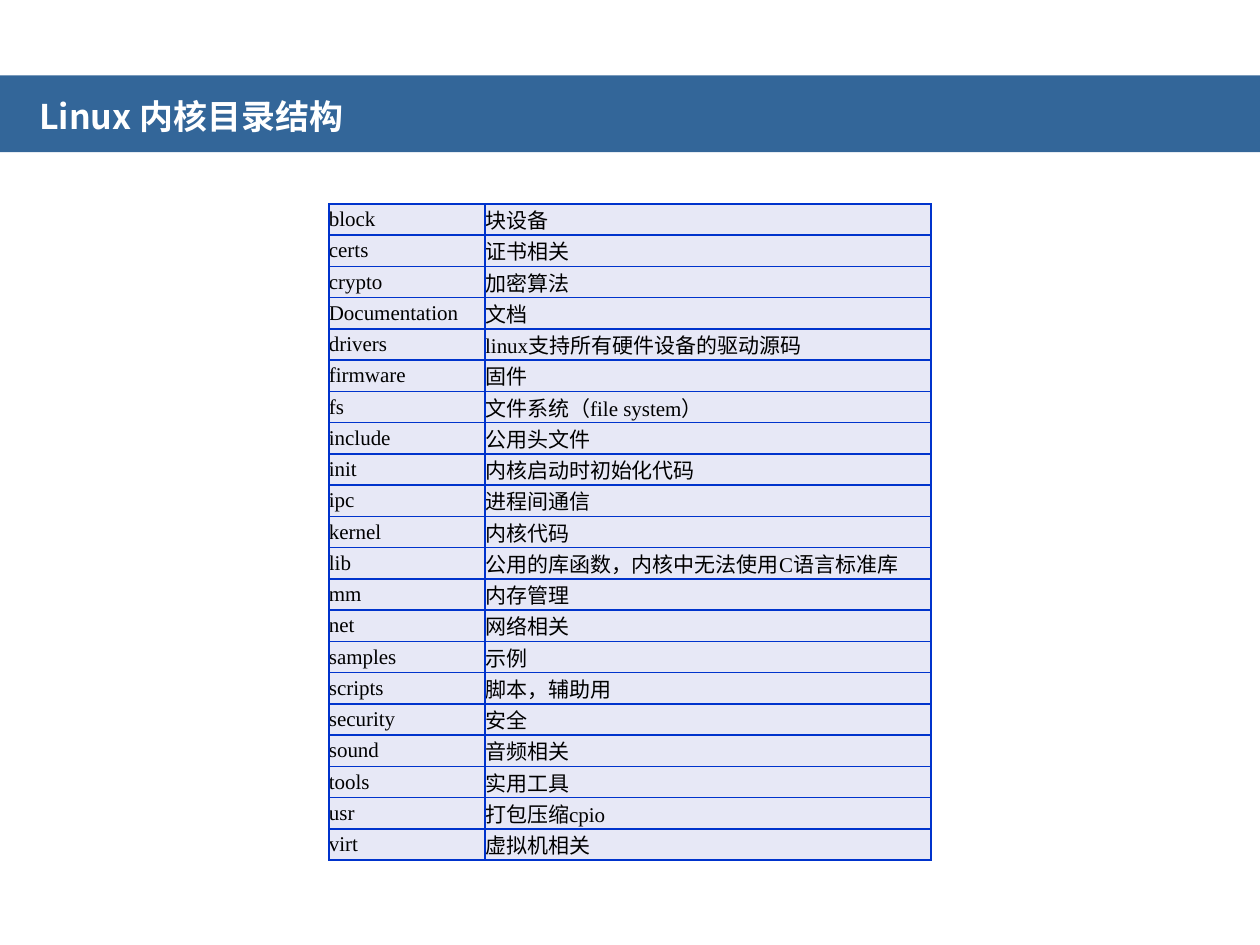
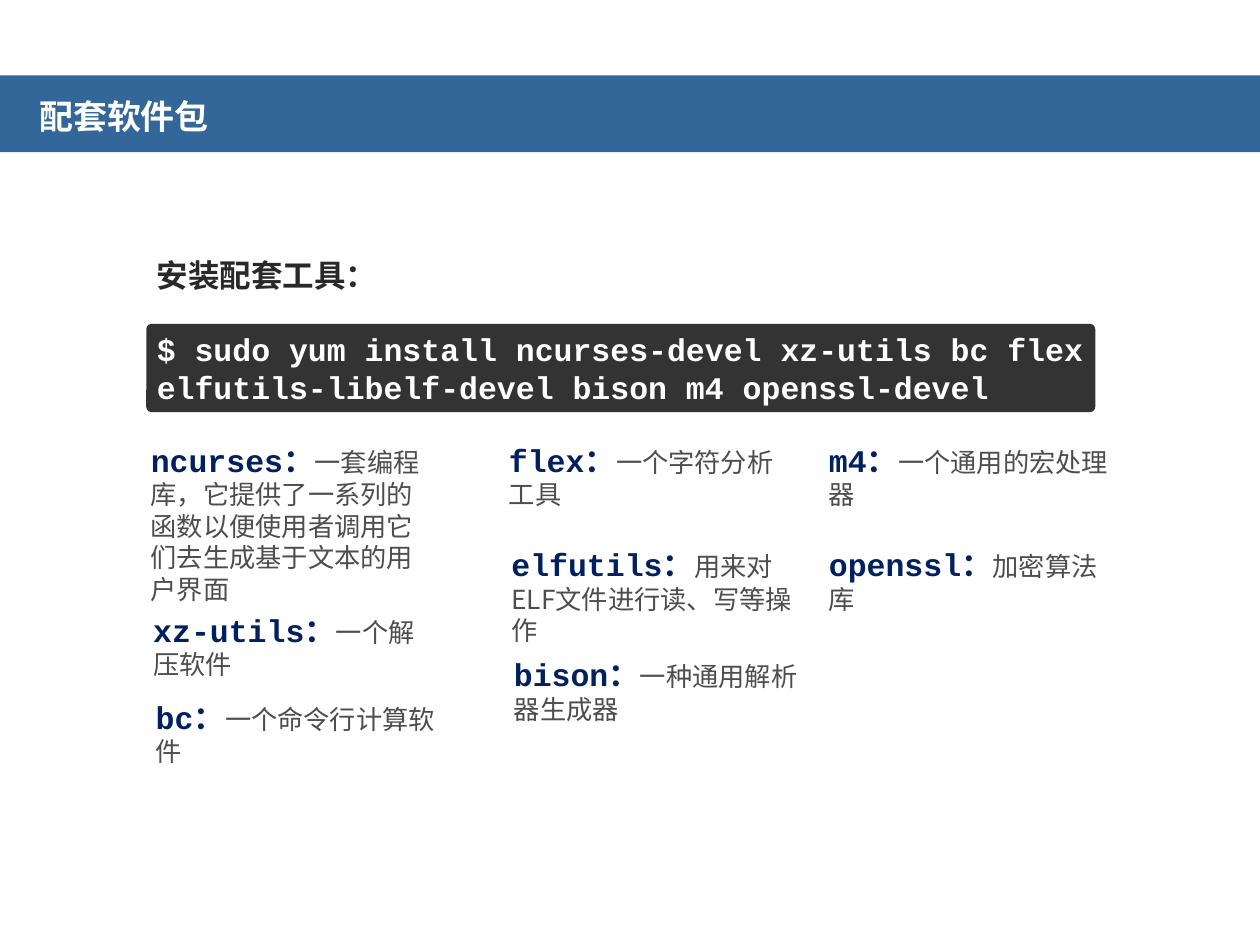
from dataclasses import dataclass

from lxml.etree import SubElement
from pptx import Presentation
from pptx.dml.color import RGBColor
from pptx.enum.shapes import MSO_SHAPE
from pptx.enum.text import MSO_ANCHOR, PP_ALIGN
from pptx.oxml.ns import qn
from pptx.util import Cm, Pt

COLOURS = {
    "band": "336699",
    "white": "FFFFFF",
    "border": "0033CC",
    "cell": "E7E8F6",
    "black": "000000",
    "code": "333333",
    "heading": "292929",
    "term": "002060",
    "body": "4D4D4D",
}
SANS = "Noto Sans CJK SC"
MONO = "Courier New"
SERIF = "Times New Roman"
PAGE_WIDTH = 25.4
PAGE_HEIGHT = 19.05


@dataclass(frozen=True)
class Style:
    font: str
    size: float
    colour: str
    bold: bool = False


@dataclass(frozen=True)
class Note:
    term: str
    meaning: str
    top: float
    height: float


@dataclass(frozen=True)
class NoteColumn:
    left: float
    step: float
    notes: tuple[Note, ...]


TITLE = Style(SANS, 19.4, "white", True)
CELL = Style(SERIF, 12, "black")
CODE = Style(MONO, 18, "white", True)
HEADING = Style(SANS, 18, "heading", True)
TERM = Style(MONO, 18, "term", True)
MEANING = Style(SANS, 15, "body")

DIRECTORIES = (
    ("block", "块设备"),
    ("certs", "证书相关"),
    ("crypto", "加密算法"),
    ("Documentation", "文档"),
    ("drivers", "linux支持所有硬件设备的驱动源码"),
    ("firmware", "固件"),
    ("fs", "文件系统（file system）"),
    ("include", "公用头文件"),
    ("init", "内核启动时初始化代码"),
    ("ipc", "进程间通信"),
    ("kernel", "内核代码"),
    ("lib", "公用的库函数，内核中无法使用C语言标准库"),
    ("mm", "内存管理"),
    ("net", "网络相关"),
    ("samples", "示例"),
    ("scripts", "脚本，辅助用"),
    ("security", "安全"),
    ("sound", "音频相关"),
    ("tools", "实用工具"),
    ("usr", "打包压缩cpio"),
    ("virt", "虚拟机相关"),
)
DIRECTORY_WIDTHS = (3.15, 8.99)
ROW_HEIGHT = 0.63

INSTALL_COMMAND = (
    "$ sudo yum install ncurses-devel xz-utils bc flex "
    "elfutils-libelf-devel bison m4 openssl-devel"
)
NOTE_WIDTH = 6.25
NOTE_COLUMNS = (
    NoteColumn(2.79, 0.05, (
        Note("ncurses：", "一套编程库，它提供了一系列的函数以便使用者调用它们去生成基于文本的用户界面", 8.76, 4.37),
        Note("xz-utils：", "一个解压软件", 12.19, 2.44),
        Note("bc：", "一个命令行计算软件", 13.94, 2.44),
    )),
    NoteColumn(10.01, 0.05, (
        Note("flex：", "一个字符分析工具", 8.76, 2.44),
        Note("elfutils：", "用来对ELF文件进行读、写等操作", 10.87, 3.07),
        Note("bison：", "一种通用解析器生成器", 13.08, 2.44),
    )),
    NoteColumn(16.46, 0, (
        Note("m4：", "一个通用的宏处理器", 8.76, 1.68),
        Note("openssl：", "加密算法库", 10.87, 1.02),
    )),
)


def colour(name: str) -> RGBColor:
    return RGBColor.from_string(COLOURS[name])


def format_span(span, style: Style) -> None:
    span.font.size = Pt(style.size)
    span.font.bold = style.bold
    span.font.color.rgb = colour(style.colour)
    span.font.name = style.font
    east_asian = SubElement(span.font._element, qn("a:ea"))
    east_asian.set("typeface", SANS)


def set_margins(target, left: float, top: float, right: float, bottom: float) -> None:
    target.margin_left, target.margin_top = Cm(left), Cm(top)
    target.margin_right, target.margin_bottom = Cm(right), Cm(bottom)


def write_line(frame, text: str, style: Style, alignment=PP_ALIGN.LEFT):
    frame.text = text
    para = frame.paragraphs[0]
    para.alignment = alignment
    format_span(para.runs[0], style)
    return para


def add_panel(page, preset, left: float, top: float, width: float, height: float, fill: str):
    panel = page.shapes.add_shape(preset, Cm(left), Cm(top), Cm(width), Cm(height))
    panel.shadow.inherit = False
    panel.fill.solid()
    panel.fill.fore_color.rgb = colour(fill)
    panel.line.fill.background()
    panel.text_frame.word_wrap = True
    return panel


def add_titled_page(deck, title: str):
    page = deck.slides.add_slide(deck.slide_layouts[6])
    band = add_panel(page, MSO_SHAPE.RECTANGLE, 0, 1.52, PAGE_WIDTH, 1.55, "band")
    set_margins(band.text_frame, 0.79, 0.41, 0.79, 0.13)
    band.text_frame.vertical_anchor = MSO_ANCHOR.MIDDLE
    para = write_line(band.text_frame, title, TITLE)
    para.line_spacing = 0.7
    return page


def add_borders(cell) -> None:
    properties = cell._tc.get_or_add_tcPr()
    for side in ("lnL", "lnR", "lnT", "lnB"):
        line = SubElement(properties, qn(f"a:{side}"), w=str(Pt(1)))
        fill = SubElement(line, qn("a:solidFill"))
        SubElement(fill, qn("a:srgbClr"), val=COLOURS["border"])


def add_directory_table(page) -> None:
    frame = page.shapes.add_table(
        len(DIRECTORIES), len(DIRECTORY_WIDTHS), Cm(6.63), Cm(4.11),
        Cm(sum(DIRECTORY_WIDTHS)), Cm(ROW_HEIGHT * len(DIRECTORIES)),
    )
    table = frame.table
    table.first_row = False
    table.horz_banding = False
    for column, width in zip(table.columns, DIRECTORY_WIDTHS):
        column.width = Cm(width)
    for row, texts in zip(table.rows, DIRECTORIES):
        row.height = Cm(ROW_HEIGHT)
        for cell, text in zip(row.cells, texts):
            add_borders(cell)
            cell.fill.solid()
            cell.fill.fore_color.rgb = colour("cell")
            set_margins(cell, 0, 0, 0, 0)
            cell.vertical_anchor = MSO_ANCHOR.MIDDLE
            write_line(cell.text_frame, text, CELL)


def add_note(page, left: float, note: Note) -> None:
    box = page.shapes.add_textbox(Cm(left), Cm(note.top), Cm(NOTE_WIDTH), Cm(note.height))
    box.text_frame.word_wrap = True
    para = write_line(box.text_frame, note.term, TERM)
    span = para.add_run()
    span.text = note.meaning
    format_span(span, MEANING)


def build_directory_page(deck) -> None:
    page = add_titled_page(deck, "Linux 内核目录结构")
    add_directory_table(page)


def build_package_page(deck) -> None:
    page = add_titled_page(deck, "配套软件包")
    command = add_panel(page, MSO_SHAPE.ROUNDED_RECTANGLE, 2.95, 6.53, 19.13, 1.78, "code")
    command.adjustments[0] = 0.06
    set_margins(command.text_frame, 0.18, 0.1, 0.18, 0.1)
    command.text_frame.vertical_anchor = MSO_ANCHOR.TOP
    write_line(command.text_frame, INSTALL_COMMAND, CODE)
    heading = page.shapes.add_textbox(Cm(2.87), Cm(5.03), Cm(5.03), Cm(1.02))
    heading.text_frame.word_wrap = False
    write_line(heading.text_frame, "安装配套工具：", HEADING, PP_ALIGN.CENTER)
    for column in NOTE_COLUMNS:
        for index, note in enumerate(column.notes):
            add_note(page, column.left + index * column.step, note)


def main() -> None:
    deck = Presentation()
    deck.slide_width = Cm(PAGE_WIDTH)
    deck.slide_height = Cm(PAGE_HEIGHT)
    build_directory_page(deck)
    build_package_page(deck)
    deck.save("out.pptx")


if __name__ == "__main__":
    main()
